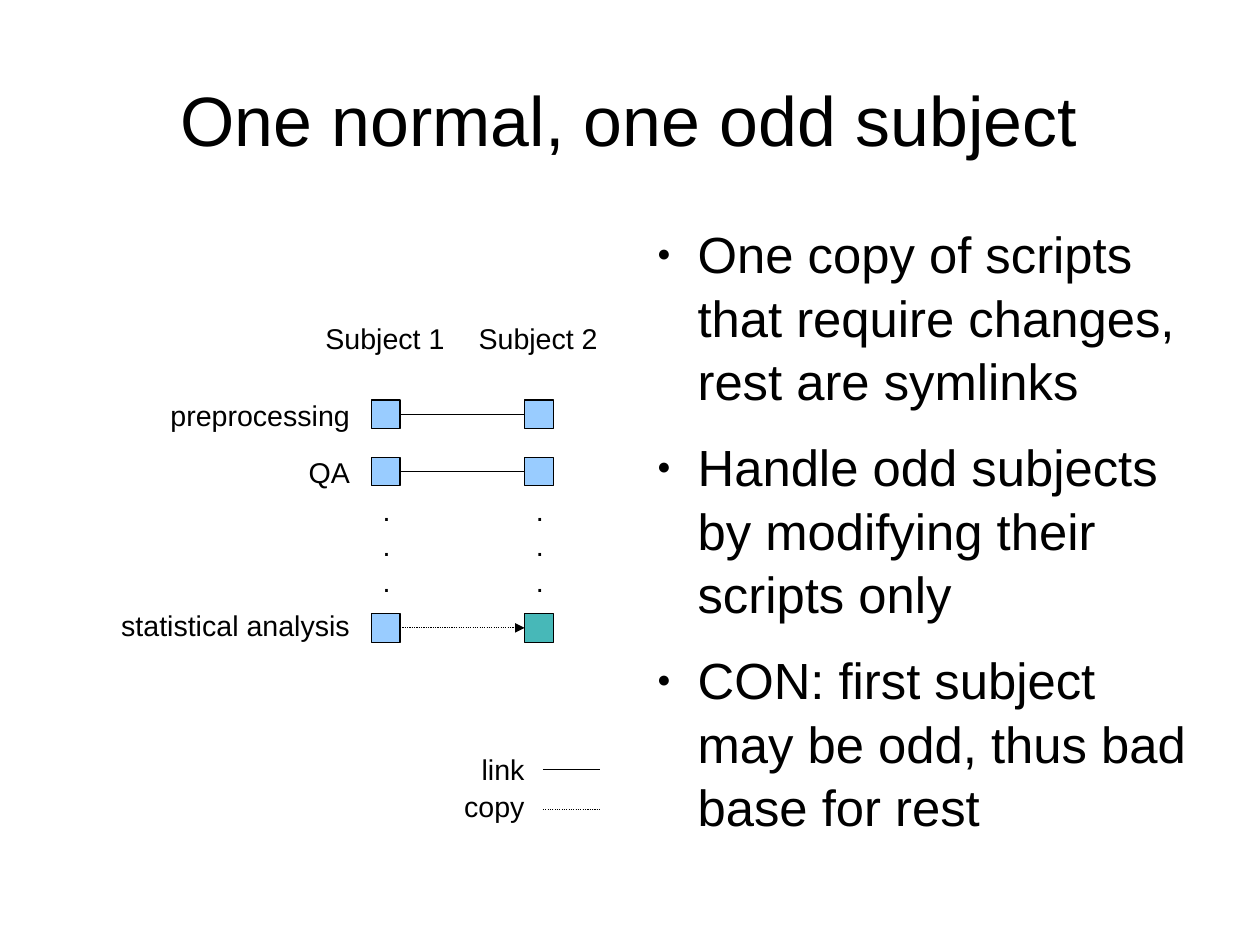
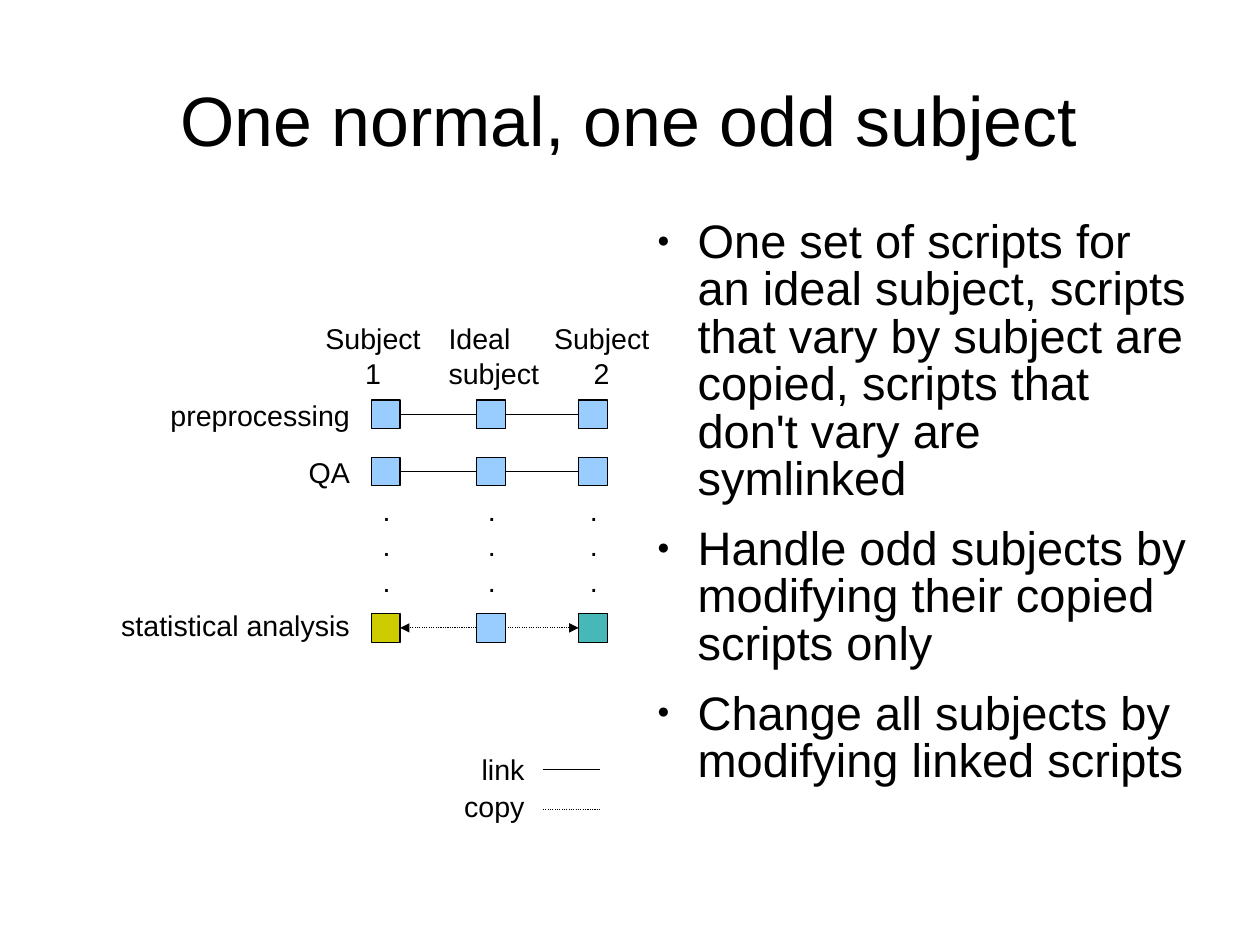
from itertools import pairwise

from lxml import etree
from pptx import Presentation
from pptx.dml.color import RGBColor
from pptx.enum import dml, shapes, text
from pptx.oxml import ns
from pptx.util import Pt

BLACK = RGBColor(0x00, 0x00, 0x00)
BLUE = RGBColor(0x99, 0xCC, 0xFF)
TEAL = RGBColor(0x47, 0xB8, 0xB8)
OLIVE = RGBColor(0xCC, 0xCC, 0x00)

FONT = "Arial"
LABEL_SIZE = 18
LINE_SPACING = 1.04
LEFT, CENTER, RIGHT = text.PP_ALIGN.LEFT, text.PP_ALIGN.CENTER, text.PP_ALIGN.RIGHT

BOX = 18
BOX_RIGHT_SITE, BOX_LEFT_SITE = 3, 1
LINK_ROWS = (252, 288)
COPY_ROW = 386.5
ROW_LABELS = (("preprocessing", 246), ("QA", 282), ("statistical analysis", 378.7))
LEGEND = (("link", 469.2, 484.5, False), ("copy", 492.5, 510, True))


def write(frame, lines, size, align=LEFT, spacing=LINE_SPACING):
    frame.word_wrap = True
    frame.auto_size = text.MSO_AUTO_SIZE.NONE
    frame.text = "\n".join(lines)
    for paragraph in frame.paragraphs:
        paragraph.alignment = align
        paragraph.line_spacing = spacing
        paragraph.font.name = FONT
        paragraph.font.size = Pt(size)
        paragraph.font.color.rgb = BLACK


def clear_margins(frame):
    frame.margin_left = frame.margin_right = frame.margin_top = frame.margin_bottom = 0


def add_label(slide, lines, left, top, width, height=29.5, align=LEFT):
    label = slide.shapes.add_textbox(Pt(left), Pt(top), Pt(width), Pt(height))
    write(label.text_frame, lines, LABEL_SIZE, align)


def set_title(slide, title_text):
    title = slide.shapes.title
    title.left, title.top, title.width, title.height = Pt(39.5), Pt(24), Pt(714), Pt(99.5)
    write(title.text_frame, [title_text], 44, CENTER)
    clear_margins(title.text_frame)
    title.text_frame.vertical_anchor = text.MSO_ANCHOR.MIDDLE


def add_bullet(paragraph):
    """Give the paragraph a small round bullet with a hanging indent."""
    properties = paragraph._p.get_or_add_pPr()
    properties.set("marL", str(Pt(34)))
    properties.set("indent", str(Pt(-25.5)))
    run_defaults = properties.find(ns.qn("a:defRPr"))
    for tag, name, value in (
        ("a:buSzPct", "val", "45000"),
        ("a:buFont", "typeface", FONT),
        ("a:buChar", "char", "●"),
    ):
        bullet = etree.Element(ns.qn(tag))
        bullet.set(name, value)
        run_defaults.addprevious(bullet)


def add_bullets(slide, lines, size, spacing):
    body = slide.shapes.add_textbox(Pt(405.5), Pt(139), Pt(348.5), Pt(393))
    write(body.text_frame, lines, size, spacing=spacing)
    clear_margins(body.text_frame)
    for paragraph in body.text_frame.paragraphs:
        paragraph.space_after = Pt(14.3)
        add_bullet(paragraph)


def add_box(slide, left, top, color):
    box = slide.shapes.add_shape(shapes.MSO_SHAPE.RECTANGLE, Pt(left), Pt(top), Pt(BOX), Pt(BOX))
    box.shadow.inherit = False
    box.fill.solid()
    box.fill.fore_color.rgb = color
    box.line.color.rgb = BLACK
    box.line.width = Pt(0.75)
    return box


def add_line(slide, start_x, end_x, y, dotted=False):
    line = slide.shapes.add_connector(
        shapes.MSO_CONNECTOR.STRAIGHT, Pt(start_x), Pt(y), Pt(end_x), Pt(y))
    line.line.color.rgb = BLACK
    line.line.width = Pt(0.75)
    if dotted:
        line.line.dash_style = dml.MSO_LINE.ROUND_DOT
    etree.SubElement(line._element.spPr, ns.qn("a:effectLst"))
    return line


def connect(slide, source, target, is_copy=False):
    """Join two boxes of a row; a copy is a dotted arrow to the target."""
    line = add_line(slide, 0, 0, 0, dotted=is_copy)
    rightward = source.left < target.left
    line.begin_connect(source, BOX_RIGHT_SITE if rightward else BOX_LEFT_SITE)
    line.end_connect(target, BOX_LEFT_SITE if rightward else BOX_RIGHT_SITE)
    if is_copy:
        etree.SubElement(line.get_or_add_ln(), ns.qn("a:tailEnd")).set("type", "triangle")


def add_diagram(slide, columns, copies):
    """Draw columns of (heading, heading left, width, align, box left, last colour)."""
    for label, top in ROW_LABELS:
        add_label(slide, [label], 60, top, 167.5, align=RIGHT)
    for heading, heading_left, width, align, left, _ in columns:
        add_label(slide, heading, heading_left, 197.5, width, 52, align)
        add_label(slide, ["..."], left, 306, BOX, 74)  # narrow box: one dot a line
    for top in LINK_ROWS:
        boxes = [add_box(slide, left, top, BLUE) for *_, left, _ in columns]
        for source, target in pairwise(boxes):
            connect(slide, source, target)
    boxes = [add_box(slide, left, COPY_ROW, color) for *_, left, color in columns]
    for source, target in copies:
        connect(slide, boxes[source], boxes[target], is_copy=True)


def add_legend(slide):
    for label, top, line_y, dotted in LEGEND:
        add_label(slide, [label], 277.5, top, 60, align=RIGHT)
        add_line(slide, 342, 378, line_y, dotted)


def add_subject_slide(presentation, columns, copies, bullets, size, spacing):
    slide = presentation.slides.add_slide(presentation.slide_layouts.get_by_name("Title Only"))
    set_title(slide, "One normal, one odd subject")
    add_diagram(slide, columns, copies)
    add_legend(slide)
    add_bullets(slide, bullets, size, spacing)


def main():
    presentation = Presentation()
    presentation.slide_width, presentation.slide_height = Pt(793.75), Pt(595.25)
    add_subject_slide(
        presentation,
        columns=[
            (["Subject 1"], 197.5, 90, CENTER, 234, BLUE),
            (["Subject 2"], 294, 90, CENTER, 330.5, TEAL),
        ],
        copies=[(0, 1)],
        bullets=[
            "One copy of scripts that require changes, rest are symlinks",
            "Handle odd subjects by modifying their scripts only",
            "CON: first subject may be odd, thus bad base for rest",
        ],
        size=32,
        spacing=LINE_SPACING,
    )
    add_subject_slide(
        presentation,
        columns=[
            (["Subject", "1"], 190, 90, CENTER, 234, OLIVE),
            (["Ideal subject"], 275.5, 72.5, LEFT, 300.25, BLUE),
            (["Subject", "2"], 334, 90, CENTER, 364.5, TEAL),
        ],
        copies=[(1, 0), (1, 2)],
        bullets=[
            "One set of scripts for an ideal subject, scripts that vary by subject "
            "are copied, scripts that don't vary are symlinked",
            "Handle odd subjects by modifying their copied scripts only",
            "Change all subjects by modifying linked scripts",
        ],
        size=29.6,
        spacing=0.84,
    )
    presentation.save("out.pptx")


if __name__ == "__main__":
    main()
